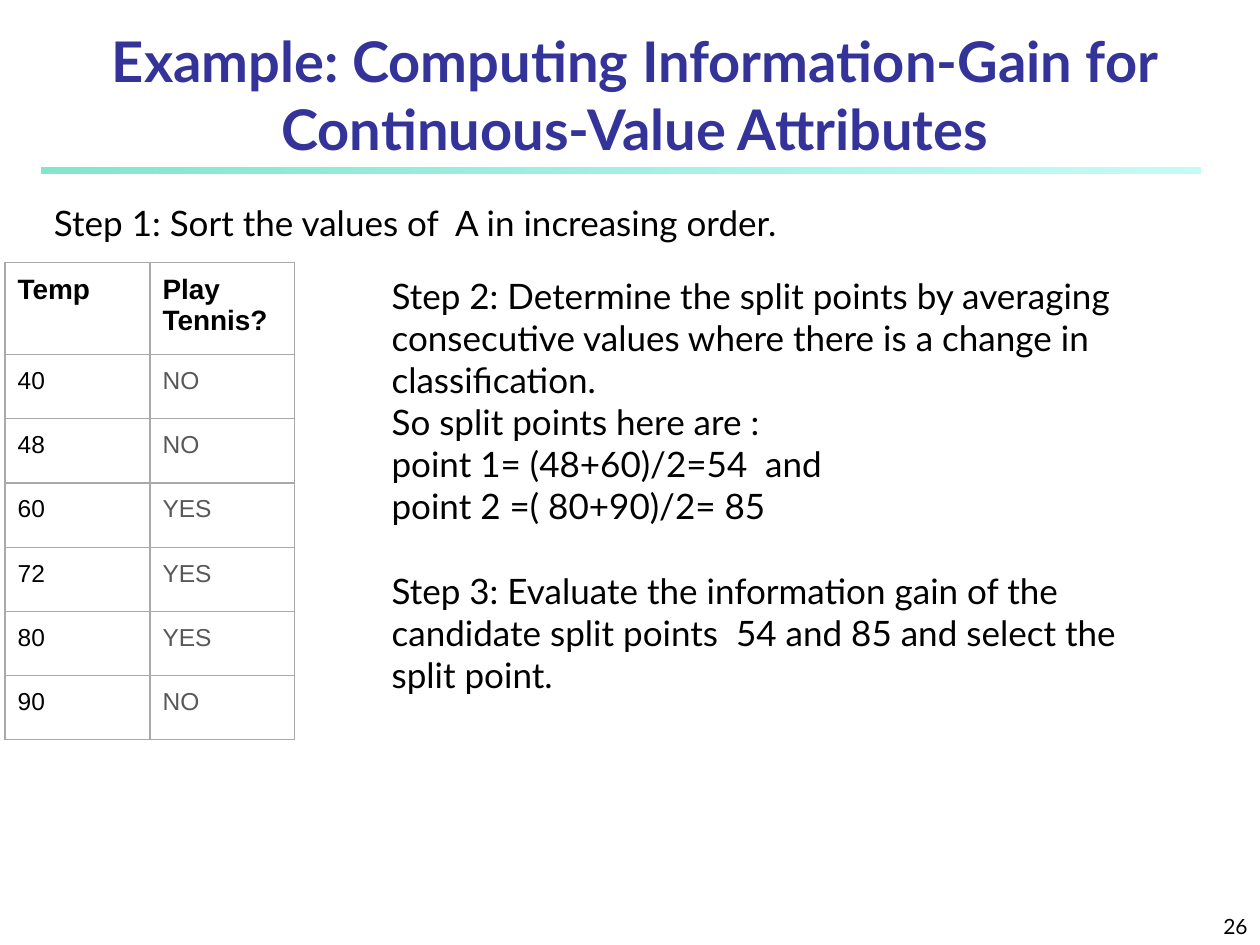
from lxml import etree
from pptx import Presentation
from pptx import util as u
from pptx.dml.color import RGBColor
from pptx.enum import shapes, text
from pptx.oxml import ns

ALIGN = text.PP_ALIGN
ANCHOR = text.MSO_ANCHOR


def tint(code):
    return RGBColor.from_string(code)


class Deck:
    """Holds the style and the current slide, and draws each kind of element."""

    face, cell_face = "Lato", "Arial"
    ink, soft, navy, rule, white = "000000", "585858", "333399", "A9A9A9", "FFFFFF"

    def __init__(self):
        self.show = Presentation()
        self.show.slide_width, self.show.slide_height = u.Inches(10), u.Inches(7.5)
        self.slide = self.show.slides.add_slide(self.show.slide_layouts[6])

    def font(self, para, size, color, face, bold=False):
        font = para.font
        font.size, font.name, font.bold = u.Pt(size), face, bold
        font.color.rgb = tint(color)

    def bar(self, box, stops):
        bar = self.slide.shapes.add_shape(
            shapes.MSO_SHAPE.RECTANGLE, *map(u.Inches, box))
        bar.shadow.inherit = False
        bar.line.fill.background()
        bar.fill.gradient()
        bar.fill.gradient_angle = 0
        for stop, (color, _) in zip(bar.fill.gradient_stops, stops):
            stop.color.rgb = tint(color)
        marks = bar._element.spPr.iter(ns.qn("a:srgbClr"))
        for mark, (_, alpha) in zip(marks, stops):
            etree.SubElement(mark, ns.qn("a:alpha"), val=str(alpha * 1000))

    def text(self, box, lines, size=20, color=ink, bold=False, align=ALIGN.LEFT,
             anchor=ANCHOR.TOP, pad=0.05, space=None, before=0):
        frame = self.slide.shapes.add_textbox(*map(u.Inches, box)).text_frame
        frame.word_wrap, frame.vertical_anchor = True, anchor
        frame.margin_left = frame.margin_right = u.Inches(0.1)
        frame.margin_top = frame.margin_bottom = u.Inches(pad)
        frame.text = "\n".join(lines)
        for para in frame.paragraphs:
            para.alignment, para.line_spacing = align, space
            para.space_before = u.Pt(before)
            self.font(para, size, color, self.face, bold)

    def edge(self, cell):
        props = cell._tc.get_or_add_tcPr()
        for side in ("lnL", "lnR", "lnT", "lnB"):
            line = etree.SubElement(props, ns.qn("a:" + side), w=str(u.Pt(0.75)))
            fill = etree.SubElement(line, ns.qn("a:solidFill"))
            etree.SubElement(fill, ns.qn("a:srgbClr"), val=self.rule)

    def table(self, left, top, wide, high, rows):
        count, width = len(rows), len(rows[0])
        grid = self.slide.shapes.add_table(
            count, width, u.Inches(left), u.Inches(top),
            u.Inches(wide * width), u.Inches(high * count)).table
        grid.first_row = grid.horz_banding = False
        for r, row in enumerate(rows):
            for c, value in enumerate(row):
                cell = grid.cell(r, c)
                cell.text = value
                cell.margin_left = cell.margin_right = u.Inches(0.1)
                cell.margin_top = cell.margin_bottom = u.Inches(0.1)
                self.edge(cell)
                head = r == 0
                if head:
                    cell.fill.solid()
                    cell.fill.fore_color.rgb = tint(self.white)
                else:
                    cell.fill.background()
                color = self.soft if c and not head else self.ink
                self.font(cell.text_frame.paragraphs[0], 16 if head else 14,
                          color, self.cell_face, head)


def main():
    deck = Deck()
    deck.bar((0.33, 1.33, 9.2, 0.05), [("00CE98", 49), ("8FF9EF", 51)])
    deck.text((7.92, 7.08, 2.08, 0.42), ["26"], size=12,
              align=ALIGN.RIGHT, anchor=ANCHOR.BOTTOM)
    deck.text((0.58, 0.25, 8.92, 1.08),
              ["Example: Computing Information-Gain for Continuous-Value Attributes"],
              size=32, color=deck.navy, bold=True,
              align=ALIGN.CENTER, anchor=ANCHOR.BOTTOM)
    deck.text((0.33, 1.5, 9.42, 5.77),
              ["Step 1: Sort the values of  A in increasing order."],
              space=1.15, before=5)
    deck.table(0.04, 2.08, 1.15, 0.51, [
        ("Temp", "Play Tennis?"),
        ("40", "NO"),
        ("48", "NO"),
        ("60", "YES"),
        ("72", "YES"),
        ("80", "YES"),
        ("90", "NO"),
    ])
    deck.text((3.01, 2.08, 6.74, 2.22), [
        "Step 2: Determine the split points by averaging consecutive values "
        "where there is a change in classification.",
        "So split points here are :",
        "point 1= (48+60)/2=54  and",
        "point 2 =( 80+90)/2= 85",
    ], pad=0.1)
    deck.text((3.01, 4.42, 6.39, 1.21), [
        "Step 3: Evaluate the information gain of the candidate split points  "
        "54 and 85 and select the split point.",
    ], pad=0.1)
    deck.show.save("out.pptx")


if __name__ == "__main__":
    main()
